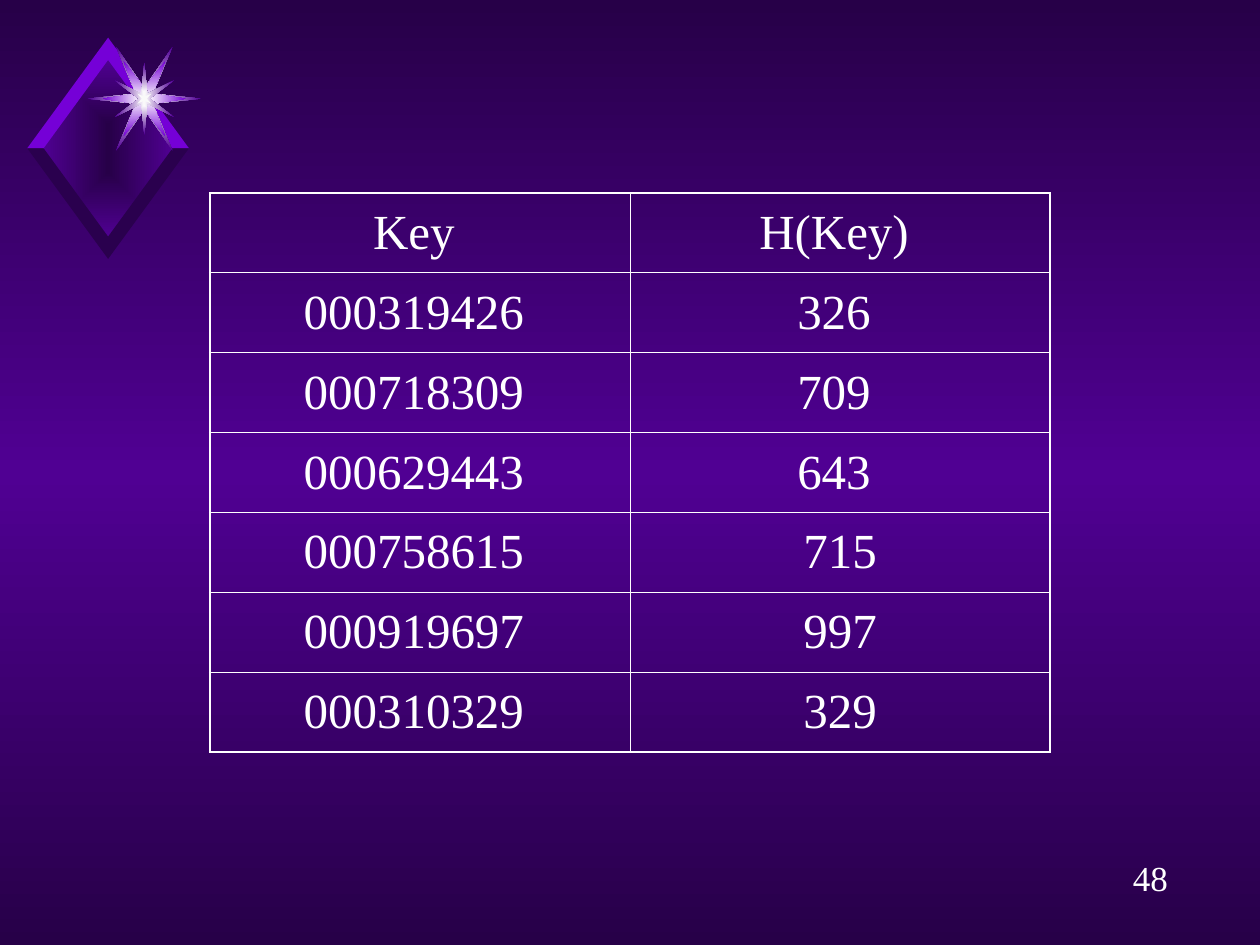
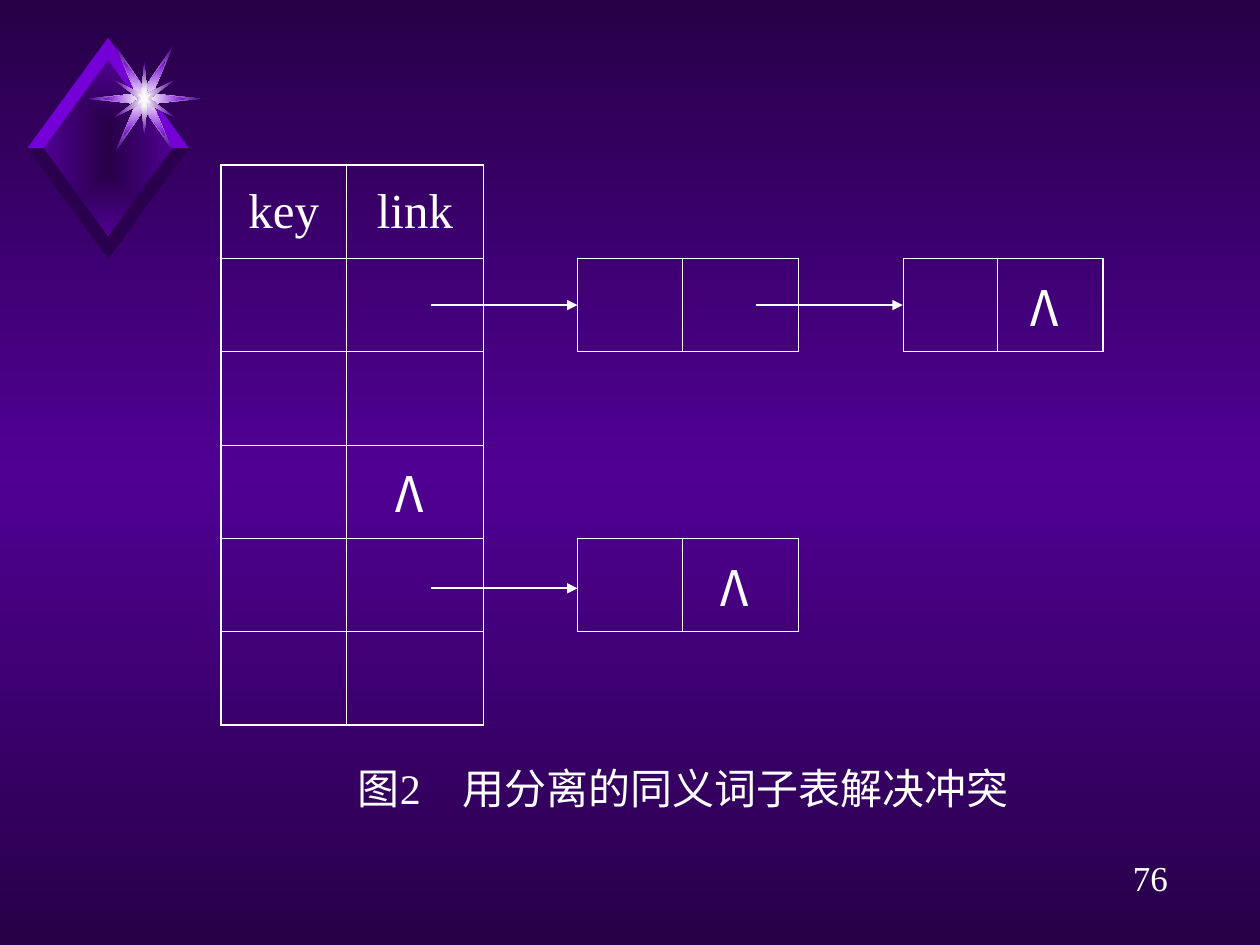
"""Build two slides on hash tables: key values and separate synonym lists."""
import dataclasses
import itertools

import pptx
import pptx.dml.color
import pptx.enum.shapes
import pptx.enum.text
import pptx.oxml
import pptx.oxml.ns
import pptx.shapes.autoshape
import pptx.slide
import pptx.table
import pptx.text.text
import pptx.util

Cm = pptx.util.Cm
Pt = pptx.util.Pt
RGBColor = pptx.dml.color.RGBColor
Point = tuple[int, int]

WHITE = RGBColor(0xFF, 0xFF, 0xFF)
GLOW = RGBColor(0xFE, 0xFE, 0xFE)
SPARK = RGBColor(0xF9, 0xF9, 0xF9)
NIGHT = RGBColor(0x27, 0x00, 0x48)
SHADE = RGBColor(0x2A, 0x00, 0x4E)
PURPLE = RGBColor(0x50, 0x00, 0x93)
VIOLET = RGBColor(0x75, 0x00, 0xD7)

LATIN = "Times New Roman"
CJK = "Noto Sans CJK SC"
NO_STYLE = "{2D5ABB26-0587-4C30-8999-92F81FD0307C}"
OUTER_LINE, INNER_LINE = Pt(1.08), Pt(0.45)
DOWNWARD = '<a:lin ang="5400000" scaled="0"/>'
FROM_CENTRE = ('<a:path path="rect"><a:fillToRect l="50000" t="50000" '
               'r="50000" b="50000"/></a:path>')
SIDES = {"lnL": (0, -1), "lnR": (0, 1), "lnT": (-1, 0), "lnB": (1, 0)}
DIAMOND_CENTRE: Point = (218, 299)
STAR_CENTRE: Point = (291, 199)


@dataclasses.dataclass(frozen=True)
class Star:
    """A star given by its points from north to east, in 0.01 cm."""
    quarter: list[Point]
    colors: list[RGBColor]


@dataclasses.dataclass(frozen=True)
class Grid:
    """A table with its place, sizes in cm, cell texts and boxed cells."""
    left: float
    top: float
    columns: list[float]
    row_count: int
    row_height: float
    texts: dict[Point, str]
    boxed: set[Point]


@dataclasses.dataclass(frozen=True)
class Arrow:
    """A horizontal link arrow, in cm."""
    left: float
    y: float
    length: float = 2.96


STARS = [
    Star([(0, -21), (57, -105), (17, -10), (115, 0)], [GLOW, PURPLE]),
    Star([(0, -21), (42, -76), (17, -10), (84, 0)], [GLOW, VIOLET]),
    Star([(0, -73), (6, -10), (60, -37), (11, 0)], [GLOW, PURPLE]),
    Star([(0, -18), (2, -5), (14, -10), (5, 0)], [SPARK]),
]
HASHES = [
    ("Key ", "H(Key) "),
    ("000319426 ", "326 "),
    ("000718309 ", "709 "),
    ("000629443 ", "643 "),
    ("000758615 ", "715"),
    ("000919697 ", "997"),
    ("000310329 ", "329"),
]
HASH_GRID = Grid(
    4.23, 3.89, [8.47, 8.47], len(HASHES), 1.61,
    {(row, column): text for row, pair in enumerate(HASHES)
     for column, text in enumerate(pair)},
    set(itertools.product(range(len(HASHES)), range(2))))
NULL_LINK = "Λ "
CHAIN_GRID = Grid(
    4.45, 3.33, [2.54, 2.75, 1.9, 2.12, 2.33, 2.12, 1.9, 2.12], 6, 1.88,
    {(0, 0): "key", (0, 1): "link", (1, 7): NULL_LINK,
     (3, 1): NULL_LINK, (4, 4): NULL_LINK},
    set(itertools.product(range(6), range(2)))
    | set(itertools.product((1, 4), (3, 4))) | {(1, 6), (1, 7)})
LINKS = [Arrow(8.68, 6.15), Arrow(8.68, 11.86), Arrow(15.24, 6.15)]


def write_text(frame: pptx.text.text.TextFrame, text: str, *, size: float,
               before: float, font: str = LATIN) -> None:
    """Append a white span to the centred first paragraph of a frame."""
    para = frame.paragraphs[0]
    para.alignment = pptx.enum.text.PP_ALIGN.CENTER
    para.space_before = Pt(before)
    span = para.add_run()
    span.text = text
    span.font.size = Pt(size)
    span.font.name = font
    span.font.color.rgb = WHITE
    latin = span.font._element.find(pptx.oxml.ns.qn("a:latin"))
    latin.addnext(pptx.oxml.parse_xml(
        f'<a:ea {pptx.oxml.ns.nsdecls("a")} typeface="{font}"/>'))


def add_text_box(page: pptx.slide.Slide, left: float, top: float,
                 width: float, height: float) -> pptx.text.text.TextFrame:
    """Add a wrapping text box and return its frame."""
    box = page.shapes.add_textbox(Cm(left), Cm(top), Cm(width), Cm(height))
    frame = box.text_frame
    frame.word_wrap = True
    frame.auto_size = pptx.enum.text.MSO_AUTO_SIZE.SHAPE_TO_FIT_TEXT
    return frame


def set_gradient(element: pptx.oxml.xmlchemy.BaseOxmlElement,
                 colors: list[RGBColor], direction: str) -> None:
    """Replace the gradient in an element with evenly spaced stops."""
    step = 100000 // (len(colors) - 1)
    stops = "".join(f'<a:gs pos="{index * step}"><a:srgbClr val="{color}"/></a:gs>'
                    for index, color in enumerate(colors))
    old = element.xpath(".//a:gradFill")[0]
    old.getparent().replace(old, pptx.oxml.parse_xml(
        f'<a:gradFill {pptx.oxml.ns.nsdecls("a")} rotWithShape="1">'
        f'<a:gsLst>{stops}</a:gsLst>{direction}</a:gradFill>'))


def add_outline(page: pptx.slide.Slide, centre: Point, points: list[Point],
                colors: list[RGBColor]) -> None:
    """Draw a closed outline around a centre, in 0.01 cm."""
    corners = [(centre[0] + x, centre[1] + y) for x, y in points]
    builder = page.shapes.build_freeform(*corners[0], scale=Cm(0.01))
    builder.add_line_segments(corners[1:], close=True)
    shape = builder.convert_to_shape()
    shape.shadow.inherit = False
    shape.line.fill.background()
    if len(colors) == 1:
        shape.fill.solid()
        shape.fill.fore_color.rgb = colors[0]
    else:
        shape.fill.gradient()
        set_gradient(shape.element, colors, FROM_CENTRE)


def add_emblem(page: pptx.slide.Slide) -> None:
    """Draw the bevelled diamond with its sparkling star."""
    add_outline(page, DIAMOND_CENTRE,
                [(0, -180), (-132, 0), (0, 180), (132, 0)], [NIGHT, PURPLE])
    for (vertical, color), side in itertools.product(
            [(-1, VIOLET), (1, SHADE)], (1, -1)):
        add_outline(page, DIAMOND_CENTRE,
                    [(0, 178 * vertical), (0, 223 * vertical),
                     (163 * side, 0), (130 * side, 0)], [color])
    for star in STARS:
        right = star.quarter + [(x, -y) for x, y in star.quarter[-2::-1]]
        left = [(-x, y) for x, y in right[-2:0:-1]]
        add_outline(page, STAR_CENTRE, right + left, star.colors)


def add_page(deck: pptx.presentation.Presentation,
             number: int) -> pptx.slide.Slide:
    """Add a blank page with the shared background, emblem and number."""
    page = deck.slides.add_slide(deck.slide_layouts[6])
    page.background.fill.gradient()
    set_gradient(page.element, [NIGHT, PURPLE, NIGHT], DOWNWARD)
    add_emblem(page)
    write_text(add_text_box(page, 22.02, 17.15, 2.34, 1.12), str(number),
               size=20, before=12.5)
    return page


def set_borders(cell: pptx.table._Cell, spot: Point, grid: Grid) -> None:
    """Line each side of a cell that borders on a boxed cell."""
    properties = cell._tc.get_or_add_tcPr()
    for index, (tag, (down, right)) in enumerate(SIDES.items()):
        row, column = neighbour = spot[0] + down, spot[1] + right
        inside = 0 <= row < grid.row_count and 0 <= column < len(grid.columns)
        drawn = bool({spot, neighbour} & grid.boxed)
        width = INNER_LINE if inside else OUTER_LINE
        paint = (f'<a:solidFill><a:srgbClr val="{WHITE}"/></a:solidFill>'
                 if drawn else "<a:noFill/>")
        properties.insert(index, pptx.oxml.parse_xml(
            f'<a:{tag} {pptx.oxml.ns.nsdecls("a")} w="{width}">{paint}</a:{tag}>'))


def add_grid(page: pptx.slide.Slide, grid: Grid) -> None:
    """Draw a table with clear cells and white borders."""
    holder = page.shapes.add_table(
        grid.row_count, len(grid.columns), Cm(grid.left), Cm(grid.top),
        Cm(sum(grid.columns)), Cm(grid.row_count * grid.row_height))
    holder.element.xpath(".//a:tableStyleId")[0].text = NO_STYLE
    table = holder.table
    table.first_row = table.horz_banding = False
    for column, width in zip(table.columns, grid.columns):
        column.width = Cm(width)
    for row in table.rows:
        row.height = Cm(grid.row_height)
    for spot in itertools.product(range(grid.row_count),
                                  range(len(grid.columns))):
        cell = table.cell(*spot)
        cell.fill.background()
        cell.vertical_anchor = pptx.enum.text.MSO_ANCHOR.MIDDLE
        set_borders(cell, spot, grid)
        if spot in grid.texts:
            text = grid.texts[spot]
            write_text(cell.text_frame, text, size=28, before=7,
                       font=CJK if text == NULL_LINK else LATIN)


def add_arrow(page: pptx.slide.Slide, arrow: Arrow) -> None:
    """Draw a white arrow that points right."""
    line = page.shapes.add_connector(
        pptx.enum.shapes.MSO_CONNECTOR.STRAIGHT, Cm(arrow.left), Cm(arrow.y),
        Cm(arrow.left + arrow.length), Cm(arrow.y))
    line.line.color.rgb = WHITE
    line.line.width = Pt(1)
    namespace = pptx.oxml.ns.nsdecls("a")
    line.line._get_or_add_ln().append(pptx.oxml.parse_xml(
        f'<a:tailEnd {namespace} type="triangle"/>'))
    line.element.spPr.append(pptx.oxml.parse_xml(f"<a:effectLst {namespace}/>"))


def main() -> None:
    """Build both pages and save the deck."""
    deck = pptx.Presentation()
    deck.slide_width, deck.slide_height = Cm(25.4), Cm(19.05)
    add_grid(add_page(deck, 48), HASH_GRID)

    chain_page = add_page(deck, 76)
    add_grid(chain_page, CHAIN_GRID)
    for link in LINKS:
        add_arrow(chain_page, link)
    caption = add_text_box(chain_page, 5.72, 15.24, 16.3, 1.27)
    for text, font in [("图", CJK), ("2", LATIN),
                       ("　用分离的同义词子表解决冲突 ", CJK)]:
        write_text(caption, text, size=24, before=15, font=font)
    deck.save("out.pptx")


if __name__ == "__main__":
    main()
